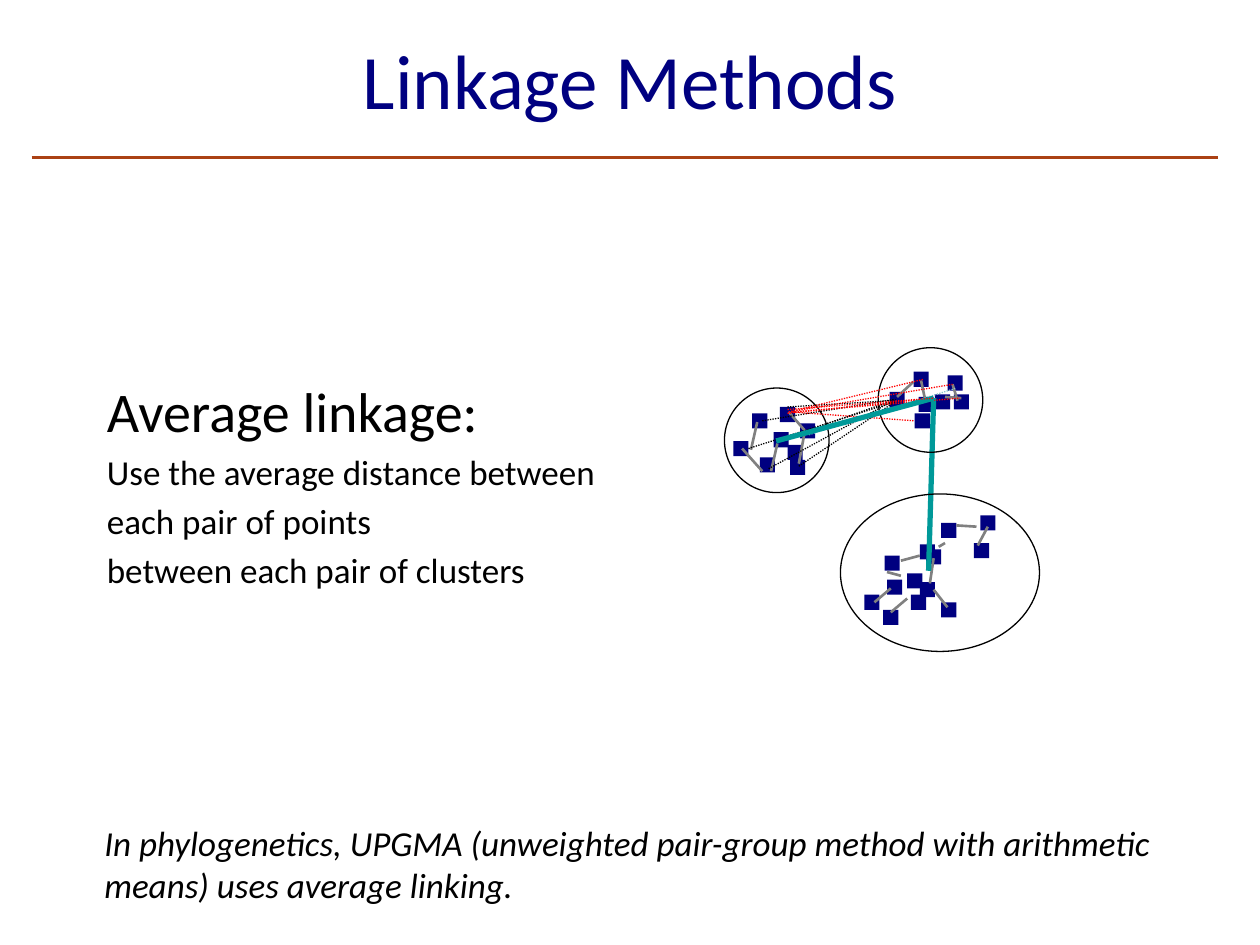
import pptx
import pptx.dml.color
import pptx.enum.dml
import pptx.enum.shapes
import pptx.enum.text
import pptx.oxml
import pptx.util

RGBColor = pptx.dml.color.RGBColor
SHAPE = pptx.enum.shapes.MSO_SHAPE
ALIGN = pptx.enum.text.PP_ALIGN
ANCHOR = pptx.enum.text.MSO_ANCHOR

NAVY = RGBColor(0x00, 0x00, 0x80)
BLACK = RGBColor(0x00, 0x00, 0x00)
GRAY = RGBColor(0x80, 0x80, 0x80)
TEAL = RGBColor(0x00, 0x99, 0x99)
RUST = RGBColor(0xAB, 0x41, 0x14)
RED = RGBColor(0xFF, 0x00, 0x00)
PALE_TEAL = RGBColor(0x8A, 0xC6, 0xCD)

FONT = "Calibri"
CM_PER_INCH = 2.54
POINT_SIZE = 0.12

LEFT_POINTS = [
    (5.97, 3.28), (6.19, 3.23), (6.14, 3.43), (5.82, 3.5),
    (6.03, 3.63), (6.35, 3.36), (6.27, 3.65), (6.25, 3.53),
]
TOP_POINTS = [
    (7.06, 3.11), (7.26, 3.28), (7.29, 3.15), (7.25, 2.95),
    (7.42, 3.13), (7.57, 3.13), (7.52, 2.98),
]
BOTTOM_POINTS = [
    (7.01, 4.84), (6.86, 4.72), (7.04, 4.6), (7.23, 4.72), (7.02, 4.41),
    (7.2, 4.55), (7.35, 4.36), (7.78, 4.09), (7.3, 4.32), (7.47, 4.15),
    (7.3, 4.62), (7.73, 4.31), (7.47, 4.78),
]
INNER_LINKS = [
    (6.01, 3.35, 5.96, 3.57), (5.89, 3.56, 6.05, 3.74),
    (6.17, 3.52, 6.12, 3.74), (6.34, 3.68, 6.39, 3.41),
    (6.26, 3.27, 6.39, 3.42), (7.25, 3.03, 7.12, 3.15),
    (7.31, 3.02, 7.34, 3.16), (7.56, 3.05, 7.6, 3.18),
    (7.63, 3.16, 7.5, 3.15), (7.5, 4.31, 7.45, 4.34),
    (7.75, 4.18, 7.59, 4.17), (7.84, 4.18, 7.76, 4.33),
    (7.15, 4.45, 7.3, 4.41), (7.38, 4.63, 7.41, 4.43),
    (7.52, 4.82, 7.41, 4.68), (7.15, 4.57, 7.04, 4.54),
    (7.2, 4.75, 7.07, 4.86), (7.07, 4.67, 6.94, 4.78),
]
CLUSTERS = [
    (5.75, 3.08, 0.83, 0.83), (6.97, 2.76, 0.83, 0.83), (6.67, 3.92, 1.58, 1.25),
]
PAIR_LINKS = [
    (6.25, 3.23, 7.07, 3.18, BLACK), (5.94, 3.56, 7.1, 3.19, BLACK),
    (6.18, 3.5, 7.11, 3.17, BLACK), (6.05, 3.34, 7.1, 3.17, BLACK),
    (6.34, 3.7, 7.1, 3.19, BLACK), (6.1, 3.72, 7.09, 3.18, BLACK),
    (6.26, 3.27, 7.33, 3.01, RED), (6.42, 3.45, 7.59, 3.08, PALE_TEAL),
    (6.25, 3.28, 7.41, 3.16, RED), (6.29, 3.27, 7.62, 3.16, RED),
    (6.26, 3.27, 7.56, 3.05, RED), (6.28, 3.27, 7.26, 3.34, RED),
]


def to_lengths(*inches):
    """Turn positions in inches into lengths."""
    return [pptx.util.Cm(value * CM_PER_INCH) for value in inches]


def add_point(page, left, top):
    """Add one square data point."""
    point = page.shapes.add_shape(
        SHAPE.RECTANGLE, *to_lengths(left, top, POINT_SIZE, POINT_SIZE))
    point.shadow.inherit = False
    point.fill.solid()
    point.fill.fore_color.rgb = NAVY
    point.line.fill.background()


def add_cluster(page, *bounds):
    """Add the outline round one cluster."""
    outline = page.shapes.add_shape(SHAPE.OVAL, *to_lengths(*bounds))
    outline.shadow.inherit = False
    outline.fill.background()
    outline.line.color.rgb = BLACK
    outline.line.width = pptx.util.Pt(0.75)


def add_line(page, ends, color, width, dotted=False):
    """Add a straight line between two places."""
    line = page.shapes.add_connector(
        pptx.enum.shapes.MSO_CONNECTOR.STRAIGHT, *to_lengths(*ends))
    line.line.color.rgb = color
    line.line.width = pptx.util.Pt(width)
    if dotted:
        line.line.dash_style = pptx.enum.dml.MSO_LINE.ROUND_DOT
    properties = line._element.spPr
    properties.append(properties.makeelement(pptx.oxml.ns.qn("a:effectLst"), {}))


def add_text(page, bounds, lines, color=BLACK, italic=False,
             align=ALIGN.LEFT, anchor=ANCHOR.TOP):
    """Add a text box from (text, size, space before) lines."""
    box = page.shapes.add_textbox(*to_lengths(*bounds))
    frame = box.text_frame
    frame.word_wrap = True
    frame.vertical_anchor = anchor
    frame.text = "\n".join(text for text, size, space in lines)
    for para, (text, size, space) in zip(frame.paragraphs, lines):
        para.alignment = align
        para.space_before = pptx.util.Pt(space)
        for span in para.runs:
            span.font.name = FONT
            span.font.size = pptx.util.Pt(size)
            span.font.color.rgb = color
            span.font.italic = italic


def add_diagram(page):
    """Add the clusters and the links within and between them."""
    for left, top in LEFT_POINTS + TOP_POINTS + BOTTOM_POINTS:
        add_point(page, left, top)
    for ends in INNER_LINKS:
        add_line(page, ends, GRAY, 1.5)
    add_line(page, (7.41, 3.16, 7.37, 4.53), TEAL, 3)
    for bounds in CLUSTERS:
        add_cluster(page, *bounds)
    for *ends, color in PAIR_LINKS:
        add_line(page, ends, color, 0.75, dotted=True)
    add_line(page, (7.41, 3.16, 6.16, 3.5), TEAL, 3)
    add_line(page, (6.25, 3.25, 7.41, 3.16), RED, 0.75, dotted=True)


def main():
    """Build the slide on linkage methods."""
    deck = pptx.Presentation()
    deck.slide_width, deck.slide_height = to_lengths(10, 7.5)
    page = deck.slides.add_slide(deck.slide_layouts[6])
    add_diagram(page)
    add_line(page, (0.25, 1.25, 9.67, 1.25), RUST, 2.25)
    add_text(page, (0.75, 2.94, 8.5, 3.55), [
        ("Average linkage:", 32, 0),
        ("Use the average distance between", 20, 4),
        ("each pair of points", 20, 4),
        ("between each pair of clusters", 20, 4),
    ])
    add_text(page, (0.75, 0, 8.5, 1.25), [("Linkage Methods", 44, 0)],
             color=NAVY, align=ALIGN.CENTER, anchor=ANCHOR.MIDDLE)
    add_text(page, (0.73, 6.47, 8.76, 0.77), [
        ("In phylogenetics, UPGMA (unweighted pair-group method with "
         "arithmetic means) uses average linking.", 20, 0),
    ], italic=True)
    deck.save("out.pptx")


if __name__ == "__main__":
    main()
